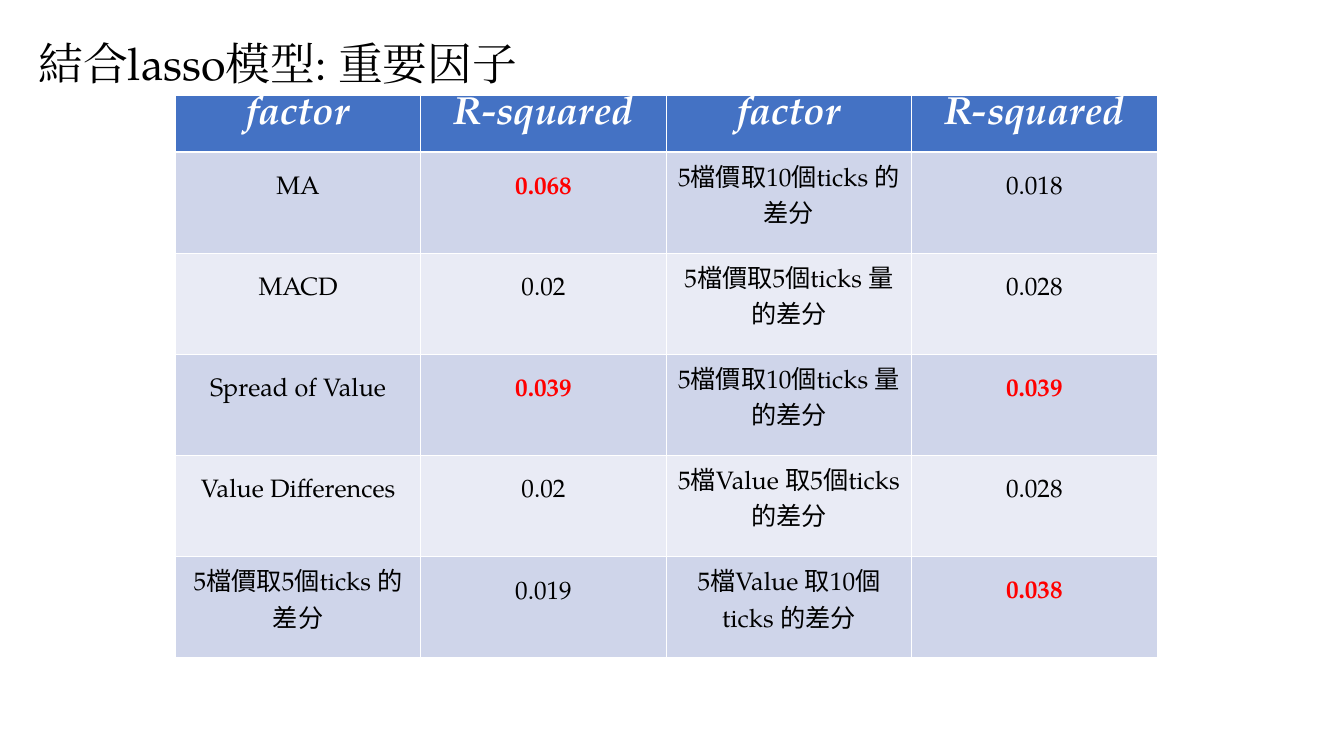
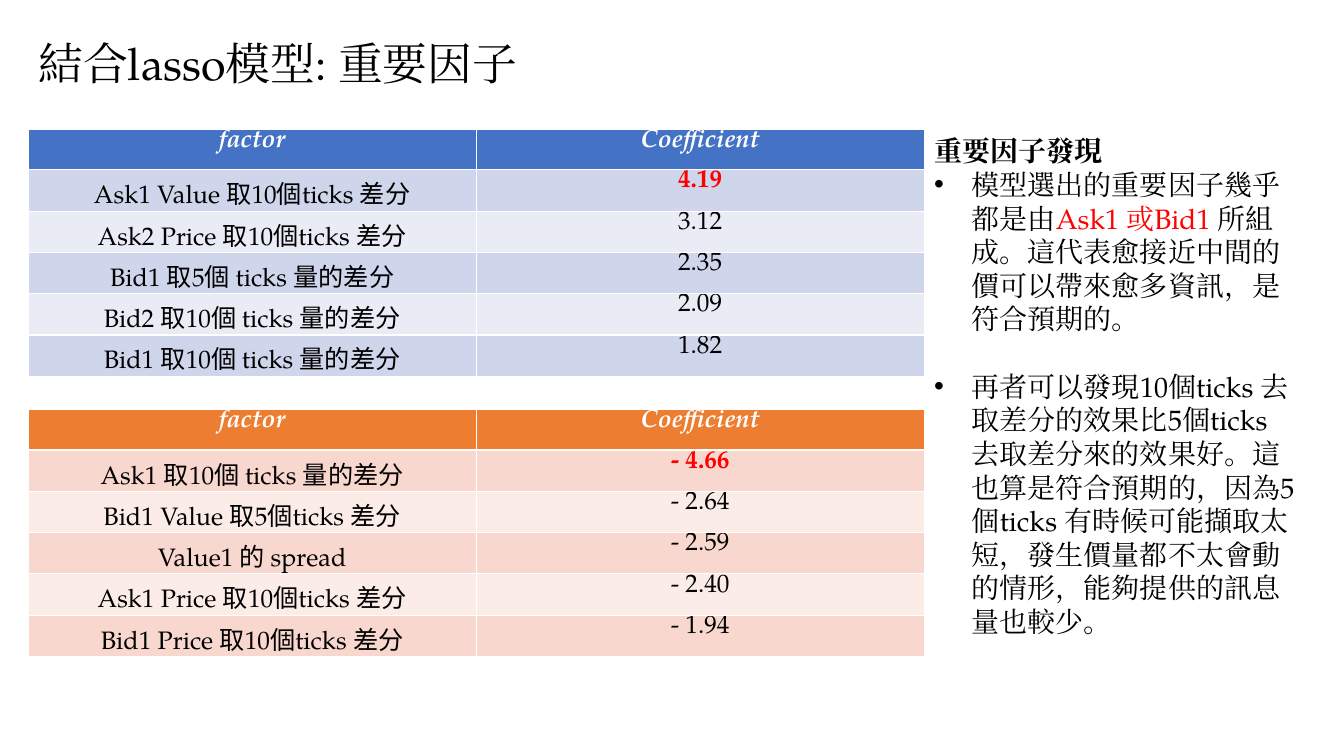
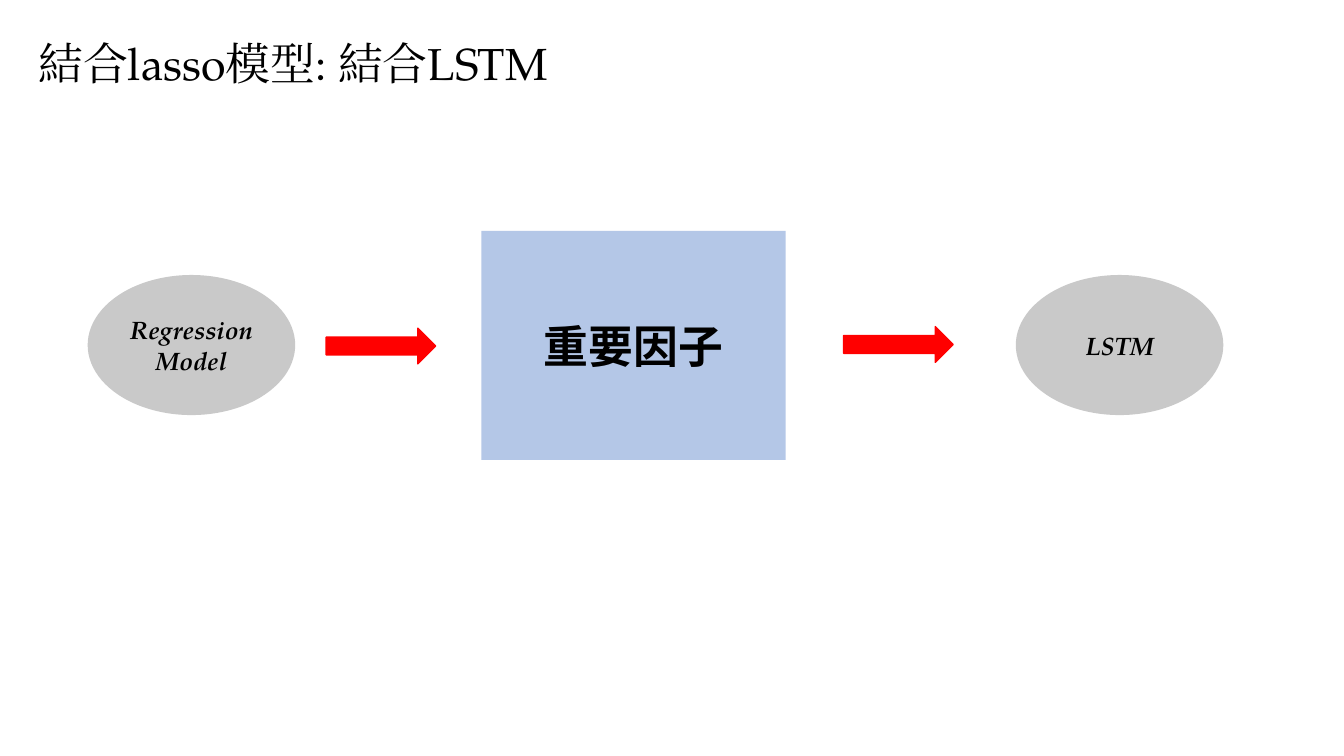
from lxml import etree
from pptx import Presentation
from pptx.dml.color import RGBColor
from pptx.enum.shapes import MSO_SHAPE
from pptx.enum.text import MSO_ANCHOR, MSO_AUTO_SIZE, PP_ALIGN
from pptx.oxml.ns import qn
from pptx.util import Cm, Pt

SERIF, SANS = "TeX Gyre Pagella", "Noto Sans CJK SC"
BLACK, WHITE = RGBColor(0, 0, 0), RGBColor(255, 255, 255)
RED = RGBColor(0xFF, 0, 0)
GRAY, PALE_BLUE = RGBColor(0xC9, 0xC9, 0xC9), RGBColor(0xB4, 0xC7, 0xE7)
# header, odd rows, even rows
BLUES = (RGBColor(0x44, 0x72, 0xC4), RGBColor(0xCF, 0xD5, 0xEA), RGBColor(0xE9, 0xEB, 0xF5))
ORANGES = (RGBColor(0xED, 0x7D, 0x31), RGBColor(0xF8, 0xD7, 0xCE), RGBColor(0xFC, 0xEC, 0xE8))

FACTOR_TITLE = "結合lasso模型: 重要因子"
LSTM_TITLE = "結合lasso模型: 結合LSTM"

R_SQUARED = [
    ("factor", "R-squared", "factor", "R-squared"),
    ("MA", "0.068", "5檔價取10個ticks 的差分", "0.018"),
    ("MACD", "0.02", "5檔價取5個ticks 量的差分", "0.028"),
    ("Spread of Value", "0.039", "5檔價取10個ticks 量的差分", "0.039"),
    ("Value Differences", "0.02", "5檔Value 取5個ticks 的差分", "0.028"),
    ("5檔價取5個ticks 的差分", "0.019", "5檔Value 取10個ticks 的差分", "0.038"),
]
POSITIVE = [
    ("factor", "Coefficient"),
    ("Ask1 Value 取10個ticks 差分", "4.19"),
    ("Ask2 Price 取10個ticks 差分", "3.12"),
    ("Bid1 取5個 ticks 量的差分", "2.35"),
    ("Bid2 取10個 ticks 量的差分", "2.09"),
    ("Bid1 取10個 ticks 量的差分", "1.82"),
]
NEGATIVE = [
    ("factor", "Coefficient"),
    ("Ask1 取10個 ticks 量的差分", "- 4.66"),
    ("Bid1 Value 取5個ticks 差分", "- 2.64"),
    ("Value1 的 spread", "- 2.59"),
    ("Ask1 Price 取10個ticks 差分", "- 2.40"),
    ("Bid1 Price 取10個ticks 差分", "- 1.94"),
]
HIGHLIGHTS = {"0.068", "0.039", "0.038", "4.19", "- 4.66"}

FINDINGS_HEADING = "重要因子發現"
FINDINGS = [  # each finding is a list of (text, colour)
    [("模型選出的重要因子幾乎都是由", BLACK), ("Ask1 或Bid1 ", RED),
     ("所組成。這代表愈接近中間的價可以帶來愈多資訊，是符合預期的。", BLACK)],
    [("再者可以發現10個ticks 去取差分的效果比5個ticks 去取差分來的效果好。"
      "這也算是符合預期的，因為5個ticks 有時候可能擷取太短，發生價量都不太會動的情形，"
      "能夠提供的訊息量也較少。", BLACK)],
]

# kind, left, top, width, height, fill, lines, size, font, italic
FLOW = [
    (MSO_SHAPE.OVAL, 2.21, 6.93, 5.23, 3.53, GRAY, ["Regression", "Model"], 18, SERIF, True),
    (MSO_SHAPE.OVAL, 25.6, 6.93, 5.23, 3.53, GRAY, ["LSTM"], 18, SERIF, True),
    (MSO_SHAPE.RECTANGLE, 12.13, 5.82, 7.67, 5.77, PALE_BLUE, ["重要因子"], 32, SANS, False),
]
ARROWS = [(8.22, 8.27), (21.26, 8.23)]
ARROW_SIZE = (2.76, 0.9)


def style(r, size, color=BLACK, bold=False, italic=False, font=SERIF, east_asian=None):
    f = r.font
    f.size, f.bold, f.italic, f.name = Pt(size), bold, italic, font
    f.color.rgb = color
    etree.SubElement(r._r.get_or_add_rPr(), qn("a:ea"), typeface=east_asian or font)


def titled_slide(prs, title):
    s = prs.slides.add_slide(prs.slide_layouts[5])
    sp = s.shapes.title
    sp.left, sp.top, sp.width, sp.height = Cm(0.71), Cm(0.76), Cm(20.07), Cm(1.63)
    tf = sp.text_frame
    tf.text = title
    tf.auto_size = MSO_AUTO_SIZE.NONE
    tf.vertical_anchor = MSO_ANCHOR.TOP
    p = tf.paragraphs[0]
    p.alignment = PP_ALIGN.LEFT
    style(p.runs[0], 32)
    return s


def add_factor_table(s, rows, left, top, width, heights, colors, header_size=18, latin_top=0):
    """Heights are (header, body); latin_top lowers one-line body text."""
    header_height, body_height = heights
    total = header_height + body_height * (len(rows) - 1)
    table = s.shapes.add_table(len(rows), len(rows[0]), Cm(left), Cm(top),
                               Cm(width), Cm(total)).table
    for i, row in enumerate(rows):
        header = i == 0
        table.rows[i].height = Cm(header_height if header else body_height)
        for j, text in enumerate(row):
            cell = table.cell(i, j)
            cell.fill.solid()
            cell.fill.fore_color.rgb = colors[0 if header else 2 - i % 2]
            cell.text_frame.text = text
            cell.margin_bottom = 0
            if not text.isascii() or "Value1" in text:
                cell.margin_top = Cm(0.12)
            else:
                cell.margin_top = Cm(0 if header else latin_top)
            p = cell.text_frame.paragraphs[0]
            p.alignment = PP_ALIGN.CENTER
            marked = text in HIGHLIGHTS
            color = WHITE if header else RED if marked else BLACK
            style(p.runs[0], header_size if header else 18, color,
                  header or marked, header, east_asian=SANS)


def add_findings(s):
    tf = s.shapes.add_textbox(Cm(23.29), Cm(3.25), Cm(9.58), Cm(13.08)).text_frame
    tf.word_wrap = True
    tf.text = FINDINGS_HEADING
    style(tf.paragraphs[0].runs[0], 20, bold=True)
    for i, finding in enumerate(FINDINGS):
        p = tf.add_paragraph()
        if i:
            p.space_before = Pt(24)
        pPr = p._p.get_or_add_pPr()
        pPr.set("marL", str(Cm(0.95)))
        pPr.set("indent", str(-Cm(0.95)))
        etree.SubElement(pPr, qn("a:buFont"), typeface="Arial")
        etree.SubElement(pPr, qn("a:buChar"), char="•")
        for text, color in finding:
            r = p.add_run()
            r.text = text
            style(r, 20, color)


def add_filled_shape(s, kind, left, top, width, height, fill):
    sp = s.shapes.add_shape(kind, Cm(left), Cm(top), Cm(width), Cm(height))
    sp.shadow.inherit = False
    sp.fill.solid()
    sp.fill.fore_color.rgb = fill
    sp.line.fill.background()
    return sp


def add_flow(s):
    for *box, lines, size, font, italic in FLOW:
        tf = add_filled_shape(s, *box).text_frame
        tf.text = "\n".join(lines)
        tf.vertical_anchor = MSO_ANCHOR.MIDDLE
        for p in tf.paragraphs:
            p.alignment = PP_ALIGN.CENTER
            style(p.runs[0], size, bold=True, italic=italic, font=font)
    for left, top in ARROWS:
        sp = add_filled_shape(s, MSO_SHAPE.RIGHT_ARROW, left, top, *ARROW_SIZE, RED)
        sp.line.color.rgb = RED
        sp.line.width = Pt(1)


def main():
    prs = Presentation()
    prs.slide_width, prs.slide_height = Cm(33.87), Cm(19.05)

    s = titled_slide(prs, FACTOR_TITLE)
    add_factor_table(s, R_SQUARED, 4.42, 2.41, 24.74, (1.42, 2.55), BLUES,
                     header_size=28, latin_top=0.61)

    s = titled_slide(prs, FACTOR_TITLE)
    for rows, top, colors in ((POSITIVE, 3.25, BLUES), (NEGATIVE, 10.31, ORANGES)):
        add_factor_table(s, rows, 0.71, top, 22.58, (1.03, 1.03), colors)
    add_findings(s)

    add_flow(titled_slide(prs, LSTM_TITLE))
    prs.save("out.pptx")


if __name__ == "__main__":
    main()
